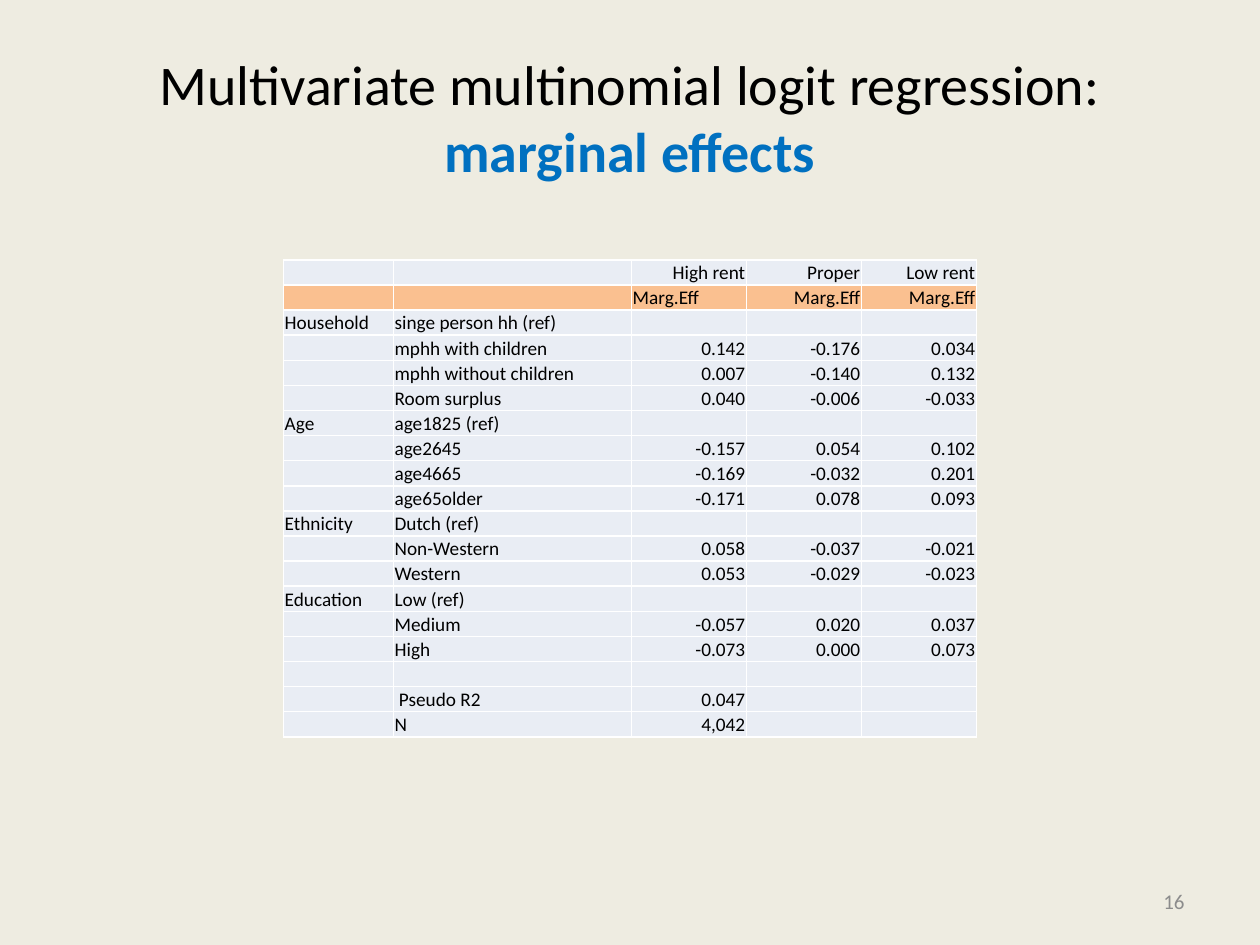
"""Build a slide with a table of marginal effects from a multinomial logit regression."""
from dataclasses import dataclass

from lxml.etree import SubElement
from pptx import Presentation
from pptx.dml.color import RGBColor as Rgb
from pptx.enum.text import MSO_ANCHOR as Anchor, PP_ALIGN as Align
from pptx.oxml.ns import qn
from pptx.util import Pt


@dataclass(frozen=True)
class Theme:
    font: str = "Calibri"
    background: str = "EEECE1"
    ink: str = "000000"
    accent: str = "0070C0"
    muted: str = "8C8C8C"
    body_fill: str = "E9EDF4"
    band_fill: str = "FAC090"
    border: str = "FFFFFF"
    title_size: int = 32
    table_size: int = 11
    number_size: int = 12


THEME = Theme()
COLUMN_WIDTHS = (62.8, 136.1, 65.7, 65.7, 65.7)
ROW_HEIGHT = 14.36
BAND_ROW = 1
FIRST_VALUE_COLUMN = 2
EFFECTS = (
    ("", "", "High rent", "Proper", "Low rent"),
    ("", "", "Marg.Eff", "Marg.Eff", "Marg.Eff"),
    ("Household", "singe person hh (ref)", "", "", ""),
    ("", "mphh with children", "0.142", "-0.176", "0.034"),
    ("", "mphh without children", "0.007", "-0.140", "0.132"),
    ("", "Room surplus", "0.040", "-0.006", "-0.033"),
    ("Age", "age1825 (ref)", "", "", ""),
    ("", "age2645", "-0.157", "0.054", "0.102"),
    ("", "age4665", "-0.169", "-0.032", "0.201"),
    ("", "age65older", "-0.171", "0.078", "0.093"),
    ("Ethnicity", "Dutch (ref)", "", "", ""),
    ("", "Non-Western", "0.058", "-0.037", "-0.021"),
    ("", "Western", "0.053", "-0.029", "-0.023"),
    ("Education", "Low (ref)", "", "", ""),
    ("", "Medium", "-0.057", "0.020", "0.037"),
    ("", "High", "-0.073", "0.000", "0.073"),
    ("", "", "", "", ""),
    ("", " Pseudo R2", "0.047", "", ""),
    ("", "N", "4,042", "", ""),
)


def style_font(font, size, color):
    font.name = THEME.font
    font.size = Pt(size)
    font.color.rgb = Rgb.from_string(color)


def add_title(slide, heading, emphasis):
    title = slide.shapes.title
    title.left, title.top, title.width, title.height = Pt(36), Pt(21.6), Pt(648), Pt(90)
    title.text_frame.vertical_anchor = Anchor.MIDDLE
    paragraph = title.text_frame.paragraphs[0]
    paragraph.alignment = Align.CENTER
    heading_run = paragraph.add_run()
    heading_run.text = heading
    style_font(heading_run.font, THEME.title_size, THEME.ink)
    paragraph.add_line_break()
    emphasis_run = paragraph.add_run()
    emphasis_run.text = emphasis
    style_font(emphasis_run.font, THEME.title_size, THEME.accent)
    emphasis_run.font.bold = True


def add_borders(cell):
    properties = cell._tc.get_or_add_tcPr()
    for side in ("lnL", "lnR", "lnT", "lnB"):
        line = SubElement(properties, qn(f"a:{side}"), w=str(Pt(1)))
        fill = SubElement(line, qn("a:solidFill"))
        SubElement(fill, qn("a:srgbClr"), val=THEME.border)


def fill_cell(cell, text, fill, alignment):
    add_borders(cell)
    cell.fill.solid()
    cell.fill.fore_color.rgb = Rgb.from_string(fill)
    cell.margin_left = cell.margin_right = cell.margin_top = Pt(0.7)
    cell.margin_bottom = Pt(0)
    cell.vertical_anchor = Anchor.BOTTOM
    cell.text = text
    paragraph = cell.text_frame.paragraphs[0]
    paragraph.alignment = alignment
    style_font(paragraph.font, THEME.table_size, THEME.ink)
    if not text:
        SubElement(paragraph._p, qn("a:endParaRPr"), sz=str(THEME.table_size * 100))


def add_effects_table(slide):
    table = slide.shapes.add_table(
        len(EFFECTS), len(COLUMN_WIDTHS), Pt(162), Pt(148.5),
        Pt(sum(COLUMN_WIDTHS)), Pt(ROW_HEIGHT * len(EFFECTS))).table
    table.first_row = table.horz_banding = False
    for column, width in zip(table.columns, COLUMN_WIDTHS):
        column.width = Pt(width)
    for r, effects in enumerate(EFFECTS):
        table.rows[r].height = Pt(ROW_HEIGHT)
        fill = THEME.band_fill if r == BAND_ROW else THEME.body_fill
        for c, text in enumerate(effects):
            is_left = c < FIRST_VALUE_COLUMN or (r, c) == (BAND_ROW, FIRST_VALUE_COLUMN)
            fill_cell(table.cell(r, c), text, fill, Align.LEFT if is_left else Align.RIGHT)


def add_page_number(slide, number):
    frame = slide.shapes.add_textbox(Pt(516), Pt(500.5), Pt(168), Pt(28.75)).text_frame
    frame.word_wrap = True
    frame.vertical_anchor = Anchor.MIDDLE
    frame.text = number
    paragraph = frame.paragraphs[0]
    paragraph.alignment = Align.RIGHT
    style_font(paragraph.font, THEME.number_size, THEME.muted)


def main():
    presentation = Presentation()
    presentation.slide_width, presentation.slide_height = Pt(720), Pt(540)
    slide = presentation.slides.add_slide(presentation.slide_layouts[5])
    slide.background.fill.solid()
    slide.background.fill.fore_color.rgb = Rgb.from_string(THEME.background)
    add_title(slide, "Multivariate multinomial logit regression:", "marginal effects")
    add_effects_table(slide)
    add_page_number(slide, "16")
    presentation.save("out.pptx")


if __name__ == "__main__":
    main()
